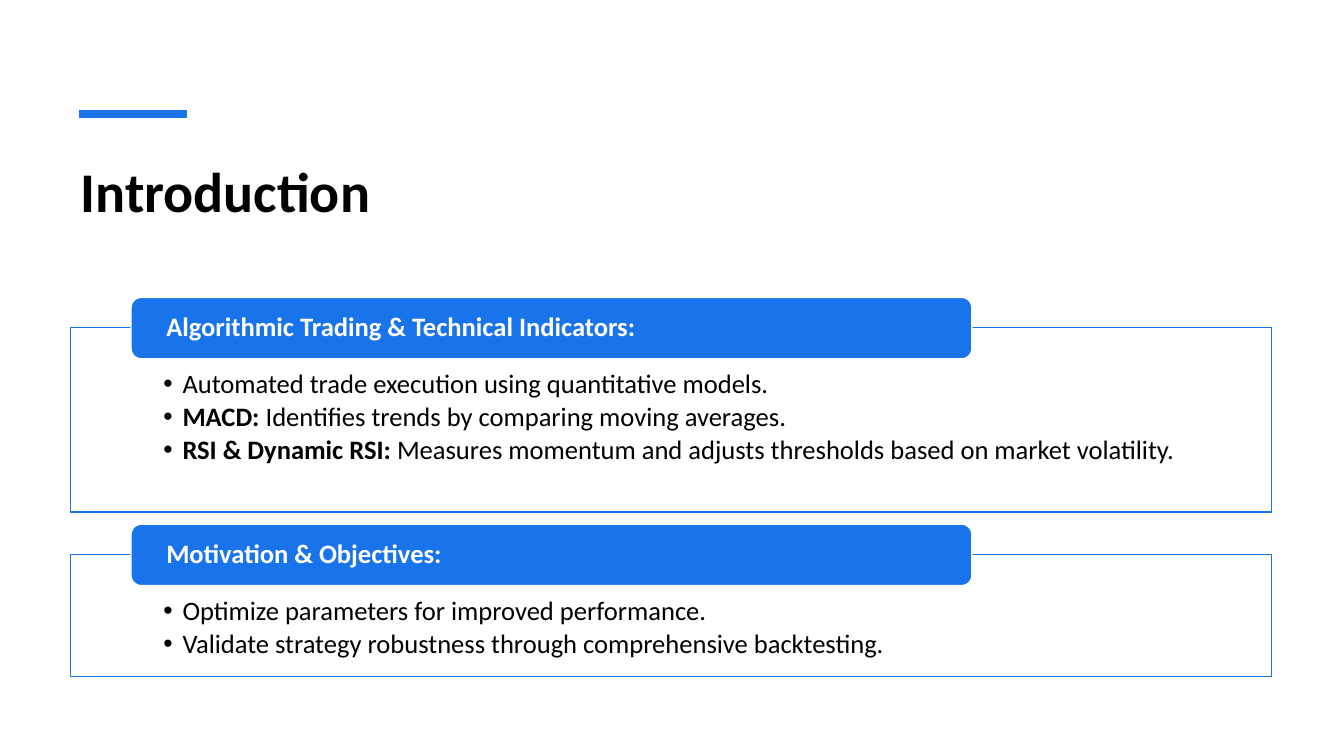
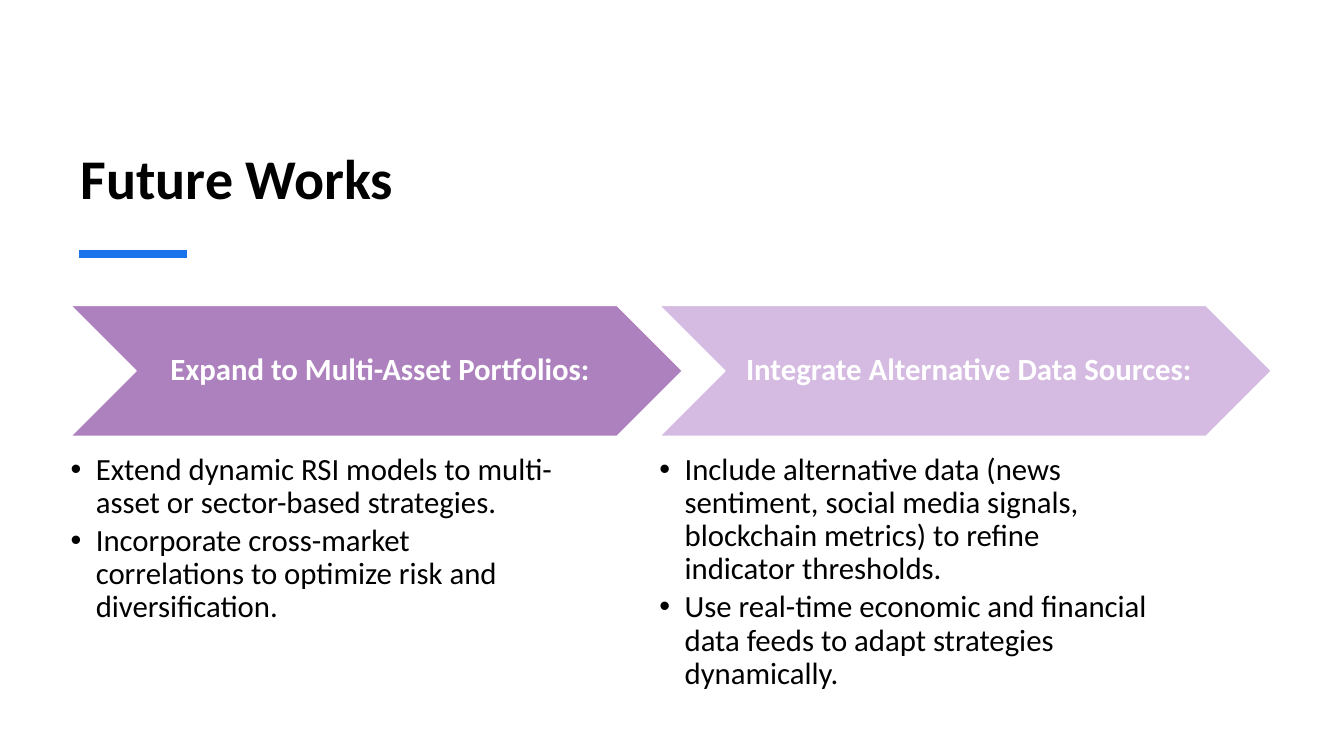
from pptx import Presentation
from pptx.dml.color import RGBColor
from pptx.enum import shapes, text
from pptx.oxml import ns
from pptx.util import Inches, Pt
from lxml import etree

# Shared style
BLUE = RGBColor(0x19, 0x73, 0xEB)
PURPLE = RGBColor(0xAD, 0x81, 0xBE)
LILAC = RGBColor(0xD5, 0xBB, 0xE1)
BLACK = RGBColor(0, 0, 0)
WHITE = RGBColor(0xFF, 0xFF, 0xFF)
FONT = "Calibri"
LEFT, WIDTH = 0.7, 11.91
TWO_CONTENT = 3

# Content: (heading, bullets); a bullet is a list of (text, bold) runs
INTRODUCTION = [
    ("Algorithmic Trading & Technical Indicators:", [
        [("Automated trade execution using quantitative models.", False)],
        [("MACD:", True),
         (" Identifies trends by comparing moving averages.", False)],
        [("RSI & Dynamic RSI:", True),
         (" Measures momentum and adjusts thresholds based on market volatility.", False)],
    ]),
    ("Motivation & Objectives:", [
        [("Optimize parameters for improved performance.", False)],
        [("Validate strategy robustness through comprehensive backtesting.", False)],
    ]),
]
FUTURE_WORKS = [
    ("Expand to Multi-Asset Portfolios:", [
        [("Extend dynamic RSI models to multi-asset or sector-based strategies.", False)],
        [("Incorporate cross-market correlations to optimize risk and diversification.", False)],
    ]),
    ("Integrate Alternative Data Sources:", [
        [("Include alternative data (news sentiment, social media signals, "
          "blockchain metrics) to refine indicator thresholds.", False)],
        [("Use real-time economic and financial data feeds to adapt strategies "
          "dynamically.", False)],
    ]),
]


def place(shape, left, top, width, height):
    shape.left, shape.top = Inches(left), Inches(top)
    shape.width, shape.height = Inches(width), Inches(height)


def set_frame(frame, anchor, insets):
    frame.word_wrap = True
    frame.auto_size = text.MSO_AUTO_SIZE.NONE
    frame.vertical_anchor = anchor
    (frame.margin_left, frame.margin_top,
     frame.margin_right, frame.margin_bottom) = [Inches(i) for i in insets]


def add_run(paragraph, words, size, color, bold):
    run = paragraph.add_run()
    run.text = words
    font = run.font
    font.name, font.size, font.bold = FONT, Pt(size), bold
    font.color.rgb = color


def add_title(slide, words, top, height, anchor):
    title = slide.shapes.title
    place(title, LEFT, top, WIDTH, height)
    set_frame(title.text_frame, anchor, (0.1, 0.05, 0.1, 0.05))
    paragraph = title.text_frame.paragraphs[0]
    paragraph.alignment = text.PP_ALIGN.LEFT
    add_run(paragraph, words, 40, BLACK, True)


def add_accent(slide, y):
    accent = slide.shapes.add_connector(
        shapes.MSO_CONNECTOR.STRAIGHT,
        Inches(0.78), Inches(y), Inches(1.85), Inches(y))
    accent.line.color.rgb = BLUE
    accent.line.width = Pt(6)
    etree.SubElement(accent.line._get_or_add_ln().getparent(), ns.qn("a:effectLst"))


def add_heading(slide, preset, box, fill, words, size, align, insets):
    heading = slide.shapes.add_shape(preset, *[Inches(n) for n in box])
    heading.shadow.inherit = False
    heading.fill.solid()
    heading.fill.fore_color.rgb = fill
    heading.line.color.rgb = WHITE
    heading.line.width = Pt(1)
    set_frame(heading.text_frame, text.MSO_ANCHOR.MIDDLE, insets)
    paragraph = heading.text_frame.paragraphs[0]
    paragraph.alignment = align
    paragraph.line_spacing = 0.9
    add_run(paragraph, words, size, WHITE, True)


def fill_list(body, box, bullets, size, indent, insets):
    place(body, *box)
    frame = body.text_frame
    set_frame(frame, text.MSO_ANCHOR.TOP, insets)
    for index, runs in enumerate(bullets):
        paragraph = frame.add_paragraph() if index else frame.paragraphs[0]
        properties = paragraph._p.get_or_add_pPr()
        properties.set("marL", str(Inches(indent)))
        properties.set("indent", str(-Inches(indent)))
        paragraph.line_spacing = 0.9
        paragraph.space_before = Pt(0)
        paragraph.space_after = Pt(round(size * 0.15, 1))
        for words, bold in runs:
            add_run(paragraph, words, size, BLACK, bold)


def build_introduction(slide):
    add_accent(slide, 1.13)
    add_title(slide, "Introduction", 1.5, 1.2, text.MSO_ANCHOR.TOP)
    tops, heights = (3.25, 5.5), (1.83, 1.21)
    for index, (heading, bullets) in enumerate(INTRODUCTION):
        top = tops[index]
        panel = slide.placeholders[index + 1]
        fill_list(panel, (LEFT, top, WIDTH, heights[index]), bullets,
                  19, 0.19, (0.92, 0.43, 0.92, 0.15))
        panel.fill.solid()
        panel.fill.fore_color.rgb = WHITE
        panel.line.color.rgb = BLUE
        panel.line.width = Pt(1)
        add_heading(slide, shapes.MSO_SHAPE.ROUNDED_RECTANGLE,
                    (1.3, top - 0.3, 8.34, 0.61), BLUE, heading, 19,
                    text.PP_ALIGN.LEFT, (0.32, 0, 0.32, 0))


def build_future_works(slide):
    add_title(slide, "Future Works", 0.62, 1.52, text.MSO_ANCHOR.BOTTOM)
    add_accent(slide, 2.52)
    for index, (heading, bullets) in enumerate(FUTURE_WORKS):
        left = LEFT + index * 5.84
        add_heading(slide, shapes.MSO_SHAPE.CHEVRON, (left, 3.03, 6.07, 1.3),
                    (PURPLE, LILAC)[index], heading, 22,
                    text.PP_ALIGN.CENTER, (0.1, 0.03, 0.03, 0.03))
        fill_list(slide.placeholders[index + 1], (left, 4.5, 4.86, 2.38),
                  bullets, 22, 0.25, (0, 0, 0, 0))


def main():
    deck = Presentation()
    deck.slide_width, deck.slide_height = Inches(13.33), Inches(7.5)
    for build in (build_introduction, build_future_works):
        build(deck.slides.add_slide(deck.slide_layouts[TWO_CONTENT]))
    deck.save("out.pptx")


if __name__ == "__main__":
    main()
